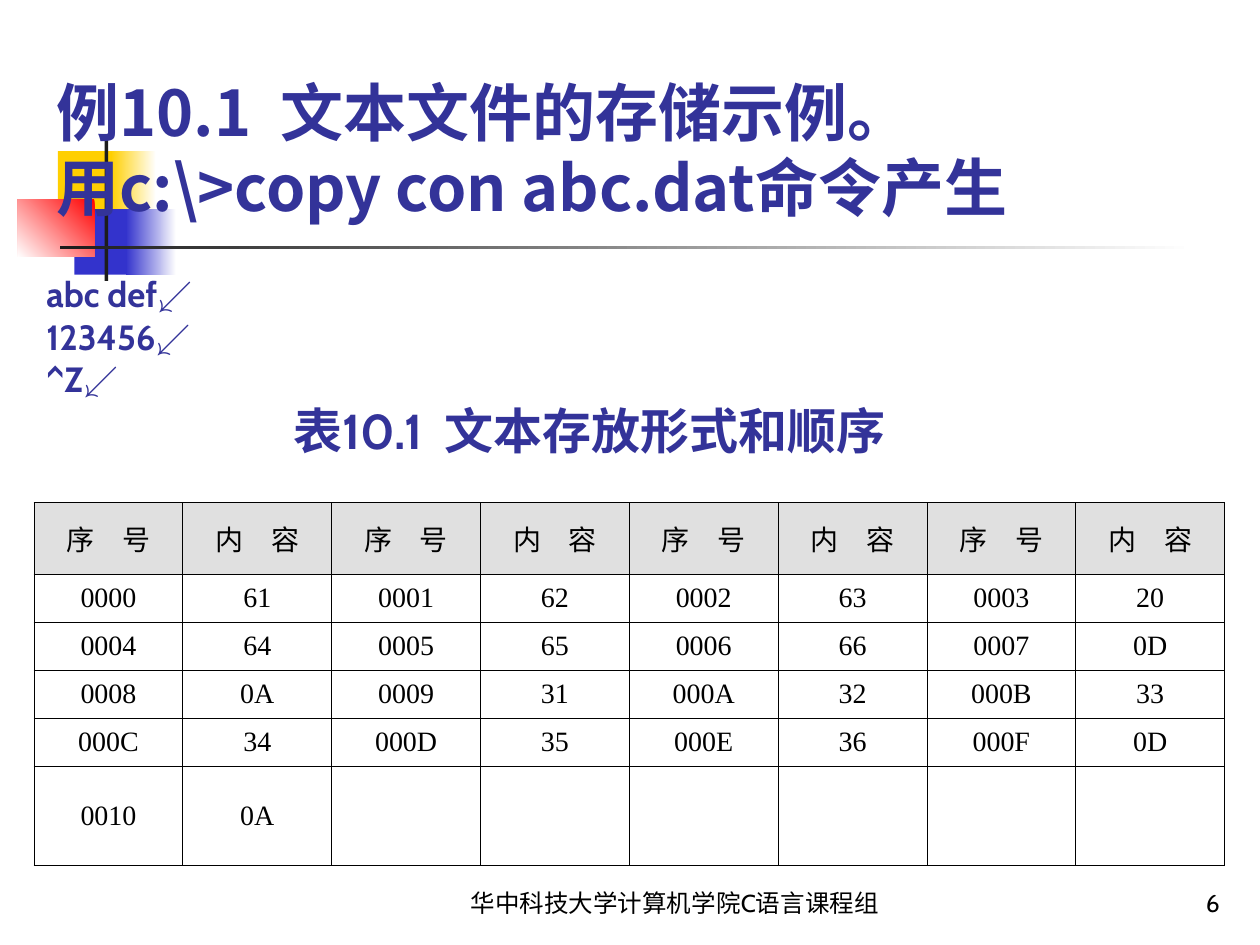
from dataclasses import dataclass

from lxml import etree
from pptx import Presentation
from pptx import util as u
from pptx.dml.color import RGBColor
from pptx.enum import shapes, text
from pptx.oxml.ns import qn

LEFT, CENTER, RIGHT = text.PP_ALIGN.LEFT, text.PP_ALIGN.CENTER, text.PP_ALIGN.RIGHT
TOP, MIDDLE, BOTTOM = text.MSO_ANCHOR.TOP, text.MSO_ANCHOR.MIDDLE, text.MSO_ANCHOR.BOTTOM


@dataclass(frozen=True)
class Theme:
    navy: str = "333399"
    blue: str = "3333CC"
    yellow: str = "FFCF01"
    red: str = "FF0000"
    dark: str = "1C1C1C"
    black: str = "000000"
    white: str = "FFFFFF"
    header: str = "E0E0E0"
    cjk: str = "Noto Sans CJK SC"
    latin: str = "Cabin"
    serif: str = "Times New Roman"
    title_size: int = 36
    caption_size: int = 28
    body_size: int = 20
    table_size: int = 16
    footer_size: int = 14
    border: float = 0.45
    indent: float = 0.38


class SlideBuilder:
    def __init__(self, slide, theme):
        self.s = slide
        self.t = theme

    def block(self, box, *colors, angle=0):
        """Rectangle with one flat colour, or two colours as a gradient."""
        sp = self.s.shapes.add_shape(shapes.MSO_SHAPE.RECTANGLE, *map(u.Inches, box))
        sp.shadow.inherit = False
        sp.line.fill.background()
        if len(colors) == 1:
            sp.fill.solid()
            sp.fill.fore_color.rgb = RGBColor.from_string(colors[0])
            return
        sp.fill.gradient()
        sp.fill.gradient_angle = angle
        for stop, color in zip(sp.fill.gradient_stops, colors):
            stop.color.rgb = RGBColor.from_string(color)

    def run(self, p, content, size, font, color, bold=False):
        r = p.add_run()
        r.text = content
        r.font.size = u.Pt(size)
        r.font.bold = bold
        r.font.name = font
        r.font.color.rgb = RGBColor.from_string(color)
        ea = etree.SubElement(r.font._element, qn("a:ea"))
        ea.set("typeface", self.t.cjk)

    def hang(self, p):
        pPr = p._p.get_or_add_pPr()
        pPr.set("marL", str(u.Inches(self.t.indent)))
        pPr.set("indent", str(-u.Inches(self.t.indent)))

    def frame(self, box, anchor):
        tf = self.s.shapes.add_textbox(*map(u.Inches, box)).text_frame
        tf.word_wrap = True
        tf.vertical_anchor = anchor
        return tf

    def title(self, box, lines):
        p = self.frame(box, BOTTOM).paragraphs[0]
        for i, line in enumerate(lines):
            if i:
                p.add_line_break()
            self.run(p, line, self.t.title_size, self.t.cjk, self.t.navy, True)

    def body(self, box, paragraphs):
        tf = self.frame(box, TOP)
        for i, (content, size, align) in enumerate(paragraphs):
            p = tf.add_paragraph() if i else tf.paragraphs[0]
            p.alignment = align
            p.line_spacing = 0.8
            p.space_before = u.Pt(size / 4)
            self.hang(p)
            self.run(p, content, size, self.t.latin, self.t.navy, True)

    def footer(self, box, content, align):
        p = self.frame(box, BOTTOM).paragraphs[0]
        p.alignment = align
        self.run(p, content, self.t.footer_size, self.t.latin, self.t.black)

    def borders(self, cell):
        tcPr = cell._tc.get_or_add_tcPr()
        for side in ("lnL", "lnR", "lnT", "lnB"):
            ln = etree.SubElement(tcPr, qn(f"a:{side}"), w=str(u.Pt(self.t.border)))
            fill = etree.SubElement(ln, qn("a:solidFill"))
            etree.SubElement(fill, qn("a:srgbClr"), val=self.t.black)

    def table(self, box, heights, rows):
        columns = len(rows[0])
        tbl = self.s.shapes.add_table(len(rows), columns, *map(u.Inches, box)).table
        tbl.first_row = tbl.horz_banding = False
        for col in tbl.columns:
            col.width = u.Inches(box[2] / columns)
        for i, (height, row) in enumerate(zip(heights, rows)):
            tbl.rows[i].height = u.Inches(height)
            for j in range(columns):
                cell = tbl.cell(i, j)
                cell.vertical_anchor = MIDDLE
                self.borders(cell)
                if i == 0:
                    cell.fill.solid()
                    cell.fill.fore_color.rgb = RGBColor.from_string(self.t.header)
                else:
                    cell.fill.background()
                if j < len(row):
                    p = cell.text_frame.paragraphs[0]
                    p.alignment = CENTER
                    self.hang(p)
                    self.run(p, row[j], self.t.table_size, self.t.serif, self.t.black)


def storage_rows(contents, pairs=4):
    """Header, then each byte after its four-digit hexadecimal address."""
    rows = [["序　号", "内　容"] * pairs]
    for start in range(0, len(contents), pairs):
        chunk = enumerate(contents[start:start + pairs], start)
        rows.append([item for n, byte in chunk for item in (f"{n:04X}", byte)])
    return rows


def main():
    prs = Presentation()
    prs.slide_width, prs.slide_height = u.Inches(10), u.Inches(7.5)
    t = Theme()
    b = SlideBuilder(prs.slides.add_slide(prs.slide_layouts[6]), t)

    # Decorative blocks and rules
    b.block((0.46, 1.2, 0.48, 0.52), t.yellow)
    b.block((0.88, 1.2, 0.36, 0.52), t.white, t.yellow, angle=180)
    b.block((0.59, 1.66, 0.46, 0.52), t.blue)
    b.block((1, 1.66, 0.4, 0.52), t.white, t.blue, angle=180)
    b.block((0.14, 1.58, 0.61, 0.46), t.red, t.white, angle=225)
    b.block((0.83, 1.08, 0.03, 1.15), t.dark)
    b.block((0.48, 1.95, 9, 0.03), t.white, t.dark, angle=180)

    # Title and typed input
    b.title((0.35, 0.23, 9.13, 1.6),
            ["例10.1  文本文件的存储示例。", r"用c:\>copy con abc.dat命令产生"])
    typed = [(line, t.body_size, LEFT) for line in ("abc def↙", "123456↙", "^Z↙")]
    b.body((0.27, 2.18, 8.9, 1.65),
           typed + [("表10.1  文本存放形式和顺序 ", t.caption_size, CENTER)])

    # Stored bytes
    contents = "61 62 63 20 64 65 66 0D 0A 31 32 33 34 35 36 0D 0A".split()
    b.table((0.27, 3.99, 9.45, 2.86), [0.57] + [0.38] * 4 + [0.79],
            storage_rows(contents))

    # Footer
    b.footer((3.19, 6.83, 4.33, 0.5), "华中科技大学计算机学院C语言课程组", CENTER)
    b.footer((7.7, 6.83, 2.08, 0.5), "6", RIGHT)

    prs.save("out.pptx")


if __name__ == "__main__":
    main()
